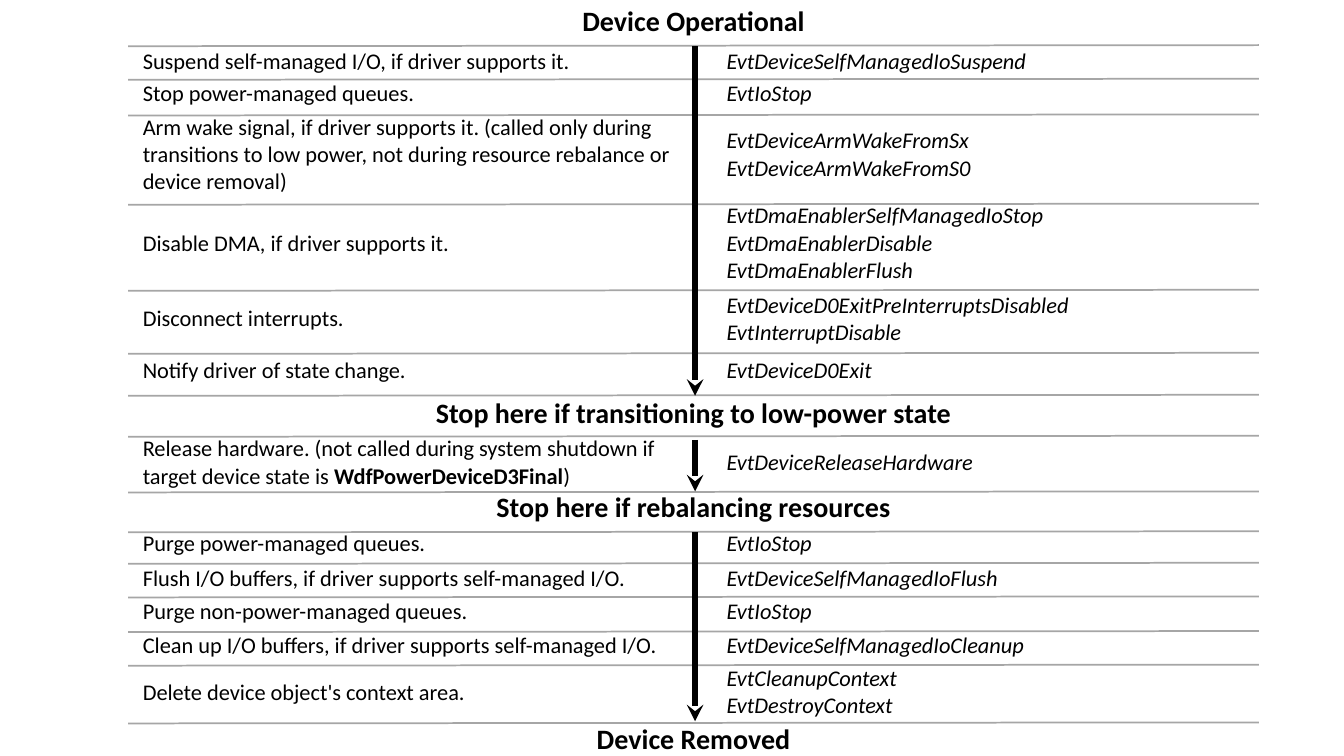
import dataclasses

import pptx
import pptx.dml.color
import pptx.enum.shapes
import pptx.enum.text
import pptx.oxml
import pptx.oxml.ns
import pptx.util

EMU_PER_PX = 9525
ALIGN = pptx.enum.text.PP_ALIGN


@dataclasses.dataclass(frozen=True)
class Theme:
    font: str = "Calibri"
    paper: str = "FFFFFF"
    ink: str = "000000"
    rule: str = "A6A6A6"
    stage_size: int = 20
    step_size: int = 16
    rule_width: float = 1.25
    arrow_width: float = 4


# Each row: height, step, callbacks. A row with no callbacks is a stage heading.
SEQUENCE = [
    (46, "Device Operational", []),
    (30, "Suspend self-managed I/O, if driver supports it.", ["EvtDeviceSelfManagedIoSuspend"]),
    (31, "Stop power-managed queues.", ["EvtIoStop"]),
    (85, "Arm wake signal, if driver supports it. (called only during transitions to low power, "
         "not during resource rebalance or device removal)",
     ["EvtDeviceArmWakeFromSx", "EvtDeviceArmWakeFromS0"]),
    (84, "Disable DMA, if driver supports it.",
     ["EvtDmaEnablerSelfManagedIoStop", "EvtDmaEnablerDisable", "EvtDmaEnablerFlush"]),
    (60, "Disconnect interrupts.", ["EvtDeviceD0ExitPreInterruptsDisabled", "EvtInterruptDisable"]),
    (39, "Notify driver of state change.", ["EvtDeviceD0Exit"]),
    (42, "Stop here if transitioning to low-power state", []),
    (51, "Release hardware. (not called during system shutdown if target device state is "
         "**WdfPowerDeviceD3Final**)", ["EvtDeviceReleaseHardware"]),
    (33, "Stop here if rebalancing resources", []),
    (36, "Purge power-managed queues.", ["EvtIoStop"]),
    (31, "Flush I/O buffers, if driver supports self-managed I/O.", ["EvtDeviceSelfManagedIoFlush"]),
    (32, "Purge non-power-managed queues.", ["EvtIoStop"]),
    (32, "Clean up I/O buffers, if driver supports self-managed I/O.",
     ["EvtDeviceSelfManagedIoCleanup"]),
    (57, "Delete device object's context area.", ["EvtCleanupContext", "EvtDestroyContext"]),
    (33, "Device Removed", []),
]
TABLE_LEFT, TABLE_TOP = 122, -2
COLUMNS = [520, 36, 521]
CELL_INDENT = 14
RULE_YS = [44, 76, 110, 195, 277, 337, 377, 416, 469, 507, 537, 569, 602, 634, 689]
RULE_RISE = 1
ARROW_X = 662
ARROW_SPANS = [(44, 377), (419, 468), (507, 687)]


def px(length):
    return pptx.util.Emu(length * EMU_PER_PX)


def color(code):
    return pptx.dml.color.RGBColor.from_string(code)


def write(frame, text, *, theme, size, bold=False, italic=False, align=ALIGN.LEFT):
    """Fill a text frame, one paragraph a line; **marked** words turn bold."""
    for index, line in enumerate(text.split("\n")):
        paragraph = frame.paragraphs[0] if index == 0 else frame.add_paragraph()
        paragraph.alignment = align
        for part, words in enumerate(line.split("**")):
            run = paragraph.add_run()
            run.text = words
            run.font.name = theme.font
            run.font.size = pptx.util.Pt(size)
            run.font.bold = bold or part % 2 == 1
            run.font.italic = italic
            run.font.color.rgb = color(theme.ink)


class SequenceSlide:
    def __init__(self, slide, theme):
        self.slide = slide
        self.theme = theme

    def table(self, left, top, columns, sequence):
        heights = [height for height, _, _ in sequence]
        grid = self.slide.shapes.add_table(
            len(sequence), len(columns), px(left), px(top), px(sum(columns)), px(sum(heights))).table
        grid.first_row = grid.horz_banding = False
        for column, width in zip(grid.columns, columns):
            column.width = px(width)
        for row, height in zip(grid.rows, heights):
            row.height = px(height)
        for cell in grid.iter_cells():
            cell.margin_left = cell.margin_right = cell.margin_top = cell.margin_bottom = 0
            cell.vertical_anchor = pptx.enum.text.MSO_ANCHOR.MIDDLE
            cell.fill.solid()
            cell.fill.fore_color.rgb = color(self.theme.paper)

        stages = []
        for index, (_, step, callbacks) in enumerate(sequence):
            if callbacks:
                self.step_cell(grid.cell(index, 0), step)
                self.step_cell(grid.cell(index, 2), "\n".join(callbacks), italic=True)
            else:
                stages.append(index)
                heading = grid.cell(index, 0)
                heading.merge(grid.cell(index, 2))
                write(heading.text_frame, step, theme=self.theme, size=self.theme.stage_size,
                      bold=True, align=ALIGN.CENTER)
        for stage, following in zip(stages, stages[1:]):
            if following - stage > 2:
                grid.cell(stage + 1, 1).merge(grid.cell(following - 1, 1))

    def step_cell(self, cell, text, italic=False):
        cell.margin_left = px(CELL_INDENT)
        write(cell.text_frame, text, theme=self.theme, size=self.theme.step_size, italic=italic)

    def line(self, x1, y1, x2, y2, stroke, width):
        connector = self.slide.shapes.add_connector(
            pptx.enum.shapes.MSO_CONNECTOR.STRAIGHT, px(x1), px(y1), px(x2), px(y2))
        connector.line.color.rgb = color(stroke)
        connector.line.width = pptx.util.Pt(width)
        properties = connector._element.spPr
        properties.append(pptx.oxml.parse_xml(f"<a:effectLst {pptx.oxml.ns.nsdecls('a')}/>"))
        return connector

    def rule(self, y):
        self.line(TABLE_LEFT, y, TABLE_LEFT + sum(COLUMNS), y - RULE_RISE,
                  self.theme.rule, self.theme.rule_width)

    def arrow(self, top, bottom):
        shaft = self.line(ARROW_X, top, ARROW_X, bottom, self.theme.ink, self.theme.arrow_width)
        shaft.line._get_or_add_ln().append(pptx.oxml.parse_xml(
            f"<a:tailEnd {pptx.oxml.ns.nsdecls('a')} type='stealth'/>"))


def main():
    deck = pptx.Presentation()
    deck.slide_width, deck.slide_height = px(1280), px(720)
    sequence = SequenceSlide(deck.slides.add_slide(deck.slide_layouts[6]), Theme())
    sequence.table(TABLE_LEFT, TABLE_TOP, COLUMNS, SEQUENCE)
    for y in RULE_YS:
        sequence.rule(y)
    for top, bottom in ARROW_SPANS:
        sequence.arrow(top, bottom)
    deck.save("out.pptx")


if __name__ == "__main__":
    main()
